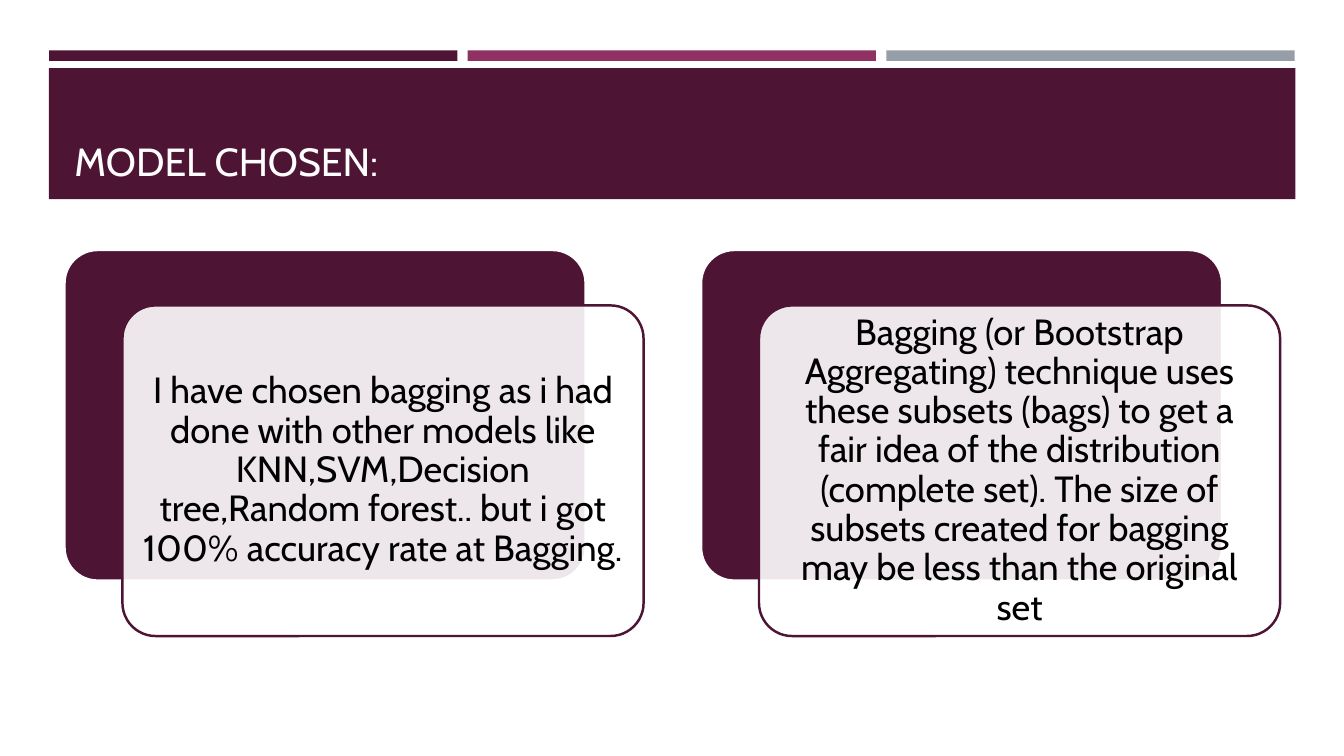
import pptx
import pptx.util
import pptx.dml.color
import pptx.enum.shapes
import pptx.enum.text
import pptx.oxml.ns
import lxml.etree

RGBColor = pptx.dml.color.RGBColor
PLUM = RGBColor(0x4D, 0x14, 0x34)
MAGENTA = RGBColor(0x90, 0x31, 0x63)
GREY = RGBColor(0x96, 0x9F, 0xA7)
WHITE = RGBColor(0xFF, 0xFF, 0xFF)
OFF_WHITE = RGBColor(0xFF, 0xFE, 0xFF)
BLACK = RGBColor(0, 0, 0)

MSO_SHAPE = pptx.enum.shapes.MSO_SHAPE
ANCHOR = pptx.enum.text.MSO_ANCHOR
ALIGN = pptx.enum.text.PP_ALIGN

CARDS = [
    "I have chosen bagging\u00a0as i had done with other models like "
    "KNN,SVM,Decision tree,Random forest.. but i got 100% accuracy rate at Bagging.",
    "Bagging (or Bootstrap Aggregating) technique uses these subsets (bags) to get "
    "a fair idea of the distribution (complete set). The size of subsets created "
    "for bagging may be less than the original set",
]


class Deck:
    """Style and current slide, measured on a grid of tenth-of-an-inch cells."""

    font = "Cabin"
    cell = 0.1

    def __init__(self, columns, rows):
        self.prs = pptx.Presentation()
        self.prs.slide_width = self.length(columns)
        self.prs.slide_height = self.length(rows)
        self.s = self.prs.slides.add_slide(self.prs.slide_layouts[6])

    def length(self, cells):
        return pptx.util.Inches(cells * self.cell)

    def box(self, *cells):
        return [self.length(n) for n in cells]

    def shape(self, kind, at, fill, line=None, alpha=None):
        sp = self.s.shapes.add_shape(kind, *self.box(*at))
        sp.shadow.inherit = False
        sp.fill.solid()
        sp.fill.fore_color.rgb = fill
        if alpha is not None:
            color = sp.fill._xPr.find(".//" + pptx.oxml.ns.qn("a:srgbClr"))
            lxml.etree.SubElement(color, pptx.oxml.ns.qn("a:alpha"), val=str(alpha * 1000))
        if line is None:
            sp.line.fill.background()
        else:
            sp.line.color.rgb = line
            sp.line.width = pptx.util.Pt(1.75)
        return sp

    def bar(self, at, fill):
        return self.shape(MSO_SHAPE.RECTANGLE, at, fill)

    def panel(self, at, fill, line, alpha=None):
        sp = self.shape(MSO_SHAPE.ROUNDED_RECTANGLE, at, fill, line, alpha)
        sp.adjustments[0] = 0.1
        return sp

    def text(self, at, words, size, color, anchor, align, inset, spacing):
        tf = self.s.shapes.add_textbox(*self.box(*at)).text_frame
        tf.word_wrap = True
        tf.vertical_anchor = anchor
        tf.margin_left = tf.margin_right = self.length(inset[0])
        tf.margin_top = tf.margin_bottom = self.length(inset[1])
        p = tf.paragraphs[0]
        p.alignment = align
        p.line_spacing = spacing
        r = p.add_run()
        r.text = words
        r.font.name = self.font
        r.font.size = pptx.util.Pt(size)
        r.font.color.rgb = color

    def card(self, left, top, words):
        width, height = 51.7, 32.8
        self.panel((left, top, width, height), PLUM, WHITE)
        left, top = left + 5.75, top + 5.5
        self.panel((left, top, width, height), WHITE, PLUM, 90)
        pad = 0.95
        at = (left + pad, top + pad, width - 2 * pad, height - 2 * pad)
        self.text(at, words, 26, BLACK, ANCHOR.MIDDLE, ALIGN.CENTER, (1.1, 1.1), 0.9)


def main():
    deck = Deck(133.33, 75)
    for i, color in enumerate((PLUM, MAGENTA, GREY)):
        deck.bar((4.87 + 41.53 * i, 5, 40.5, 1.05), color)
    deck.bar((4.85, 6.75, 123.65, 13), PLUM)
    deck.text((6.4, 7.7, 120.6, 11.1), "MODEL CHOSEN:", 28, OFF_WHITE,
              ANCHOR.BOTTOM, ALIGN.LEFT, (1, 0.5), 0.9)
    for i, words in enumerate(CARDS):
        deck.card(6.4 + 63.15 * i, 24.8, words)
    deck.prs.save("out.pptx")


if __name__ == "__main__":
    main()
